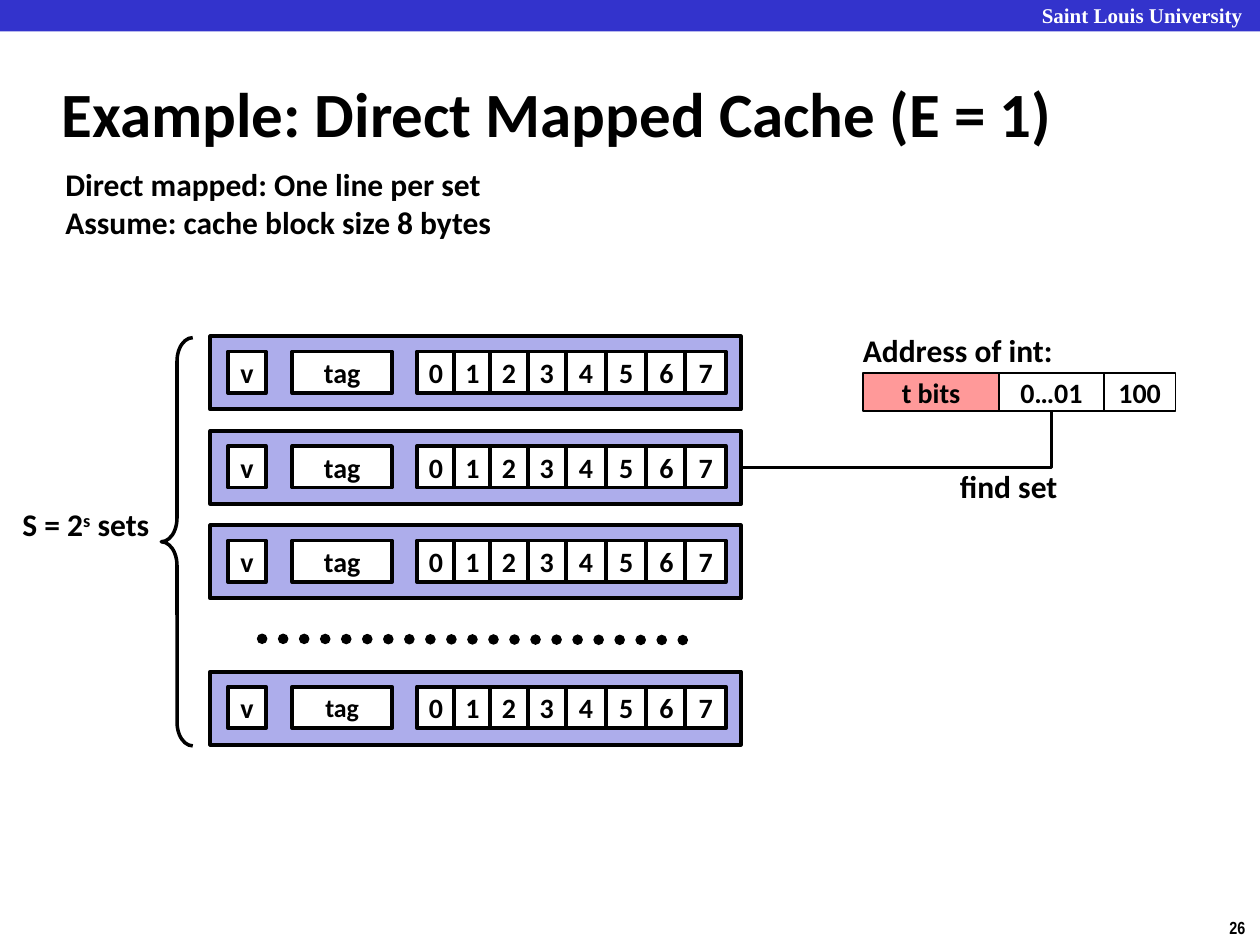
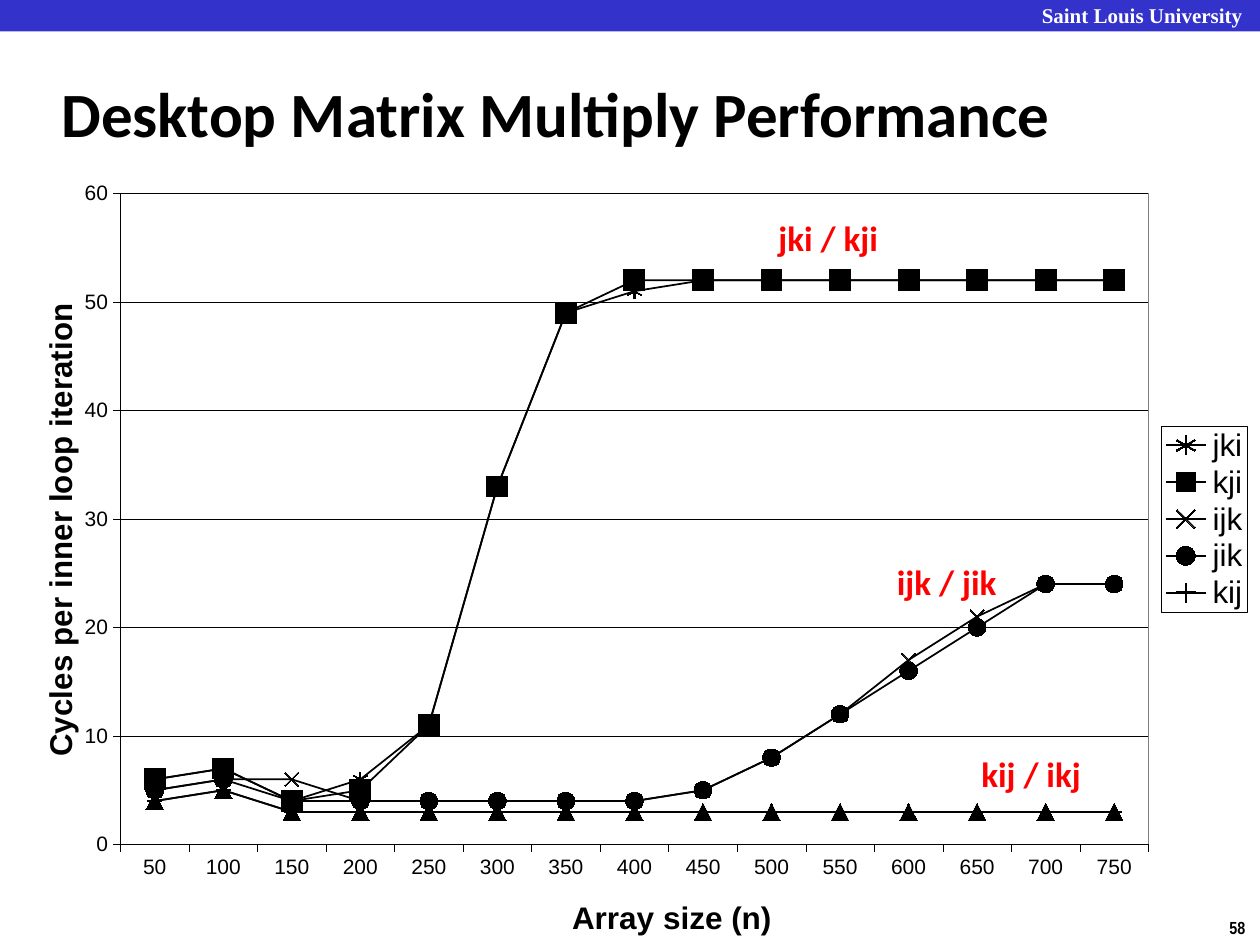
from dataclasses import dataclass

from lxml import etree
from pptx import Presentation
from pptx.chart.data import CategoryChartData
from pptx.dml.color import RGBColor
from pptx.enum.chart import XL_CHART_TYPE, XL_LEGEND_POSITION, XL_MARKER_STYLE, XL_TICK_MARK
from pptx.enum.dml import MSO_LINE
from pptx.enum.shapes import MSO_CONNECTOR, MSO_SHAPE
from pptx.enum.text import MSO_ANCHOR, PP_ALIGN
from pptx.oxml import parse_xml
from pptx.oxml.ns import nsdecls, qn
from pptx.util import Inches, Pt

BLACK = RGBColor(0, 0, 0)
WHITE = RGBColor(255, 255, 255)
RED = RGBColor(255, 0, 0)
BAND_BLUE = RGBColor(0x33, 0x33, 0xCC)
SET_LILAC = RGBColor(0xAD, 0xAD, 0xEB)
TAG_PINK = RGBColor(0xFF, 0x99, 0x99)

RECTANGLE = MSO_SHAPE.RECTANGLE
CENTER = PP_ALIGN.CENTER
MIDDLE = MSO_ANCHOR.MIDDLE
BOTTOM_SIDE, RIGHT_SIDE = 2, 3
SQUARE, CIRCLE, TRIANGLE = XL_MARKER_STYLE.SQUARE, XL_MARKER_STYLE.CIRCLE, XL_MARKER_STYLE.TRIANGLE
STAR, CROSS, PLUS = XL_MARKER_STYLE.STAR, XL_MARKER_STYLE.X, XL_MARKER_STYLE.PLUS


@dataclass
class Label:
    left: float
    top: float
    width: float
    height: float
    text: str
    size: float = 18
    color: RGBColor = BLACK
    font: str = "Calibri"
    wrap: bool = False
    anchor: MSO_ANCHOR = MSO_ANCHOR.TOP


@dataclass
class Cell:
    left: float
    top: float
    width: float
    height: float
    text: str = ""
    fill: RGBColor = WHITE
    line: float = 2.25
    size: float = 16


@dataclass
class LoopOrder:
    name: str
    marker: XL_MARKER_STYLE
    marker_size: int
    cycles: tuple


# Cache sets: tops of the rows and the byte cells inside each row
SET_TOPS = (2.67, 3.42, 4.17, 5.33)
BYTE_LEFTS = (3.31, 3.6, 3.89, 4.19, 4.49, 4.81, 5.13, 5.44)

ADDRESS_CELLS = [
    Cell(6.85, 2.96, 1.08, 0.3, "t bits", TAG_PINK, 1),
    Cell(7.93, 2.96, 0.83, 0.3, "0…01", WHITE, 1),
    Cell(8.76, 2.96, 0.57, 0.3, "100", WHITE, 1),
]
CACHE_LABELS = [
    Label(0.42, 1.26, 3.61, 0.71, "Direct mapped: One line per set\nAssume: cache block size 8 bytes"),
    Label(6.75, 2.58, 1.72, 0.4, "Address of int:"),
    Label(7.52, 3.66, 0.98, 0.4, "find set"),
]

ARRAY_SIZES = [str(size) for size in range(50, 751, 50)]
LOOP_ORDERS = [
    LoopOrder("jki", STAR, 8, (6, 7, 4, 6, 11, 33, 49, 51) + (52,) * 7),
    LoopOrder("kji", SQUARE, 12, (6, 7, 4, 5, 11, 33, 49) + (52,) * 8),
    LoopOrder("ijk", CROSS, 8, (5, 6, 6, 4, 4, 4, 4, 4, 5, 8, 12, 17, 21, 24, 24)),
    LoopOrder("jik", CIRCLE, 10, (5, 6, 4, 4, 4, 4, 4, 4, 5, 8, 12, 16, 20, 24, 24)),
    LoopOrder("kij", PLUS, 8, (4, 5) + (3,) * 13),
    LoopOrder("ikj", TRIANGLE, 10, (4, 5) + (3,) * 13),
]
CURVE_LABELS = [
    Label(6.08, 1.67, 1.01, 0.44, "jki / kji", 20, RED),
    Label(7.02, 4.4, 1, 0.44, "ijk / jik", 20, RED),
    Label(7.69, 5.92, 1, 0.44, "kij / ikj", 20, RED),
]


def set_font(font, size: float, name: str, color: RGBColor = BLACK, bold: bool = True) -> None:
    font.size, font.name, font.bold = Pt(size), name, bold
    font.color.rgb = color


def set_line(line, width: float) -> None:
    line.color.rgb = BLACK
    line.width = Pt(width)


def add_label(page, label: Label):
    box = page.shapes.add_textbox(
        Inches(label.left), Inches(label.top), Inches(label.width), Inches(label.height))
    frame = box.text_frame
    frame.word_wrap = label.wrap
    frame.vertical_anchor = label.anchor
    frame.text = label.text
    for para in frame.paragraphs:
        set_font(para.font, label.size, label.font, label.color)
    return box


def add_cell(page, cell: Cell):
    box = page.shapes.add_shape(
        RECTANGLE, Inches(cell.left), Inches(cell.top), Inches(cell.width), Inches(cell.height))
    box.shadow.inherit = False
    box.fill.solid()
    box.fill.fore_color.rgb = cell.fill
    set_line(box.line, cell.line)
    if cell.text:
        frame = box.text_frame
        frame.word_wrap = False
        frame.vertical_anchor = MIDDLE
        frame.text = cell.text
        para = frame.paragraphs[0]
        para.alignment = CENTER
        set_font(para.font, cell.size, "Calibri")
    return box


def add_line(page, kind, start: tuple, end: tuple, width: float):
    connector = page.shapes.add_connector(
        kind, Inches(start[0]), Inches(start[1]), Inches(end[0]), Inches(end[1]))
    set_line(connector.line, width)
    etree.SubElement(connector._element.spPr, qn("a:effectLst"))
    return connector


def add_page(deck, title: str, number: int):
    """Add a page with the band, the title and the page number."""
    page = deck.slides.add_slide(deck.slide_layouts[6])
    band = add_cell(page, Cell(0, 0, 10, 0.25, fill=BAND_BLUE))
    band.line.fill.background()
    add_label(page, Label(8.17, -0.03, 1.9, 0.3, "Saint Louis University", 12, WHITE,
                          "Times New Roman", True))
    add_label(page, Label(9.66, 7.23, 0.34, 0.27, str(number), 10, font="Arial Narrow"))
    add_label(page, Label(0.39, 0.48, 8.3, 0.83, title, 36, wrap=True, anchor=MIDDLE))
    return page


def add_cache_set(page, top: float, tag_size: float):
    cache_set = add_cell(page, Cell(1.67, top, 4.21, 0.58, fill=SET_LILAC))
    inner = top + 0.12
    add_cell(page, Cell(1.81, inner, 0.3, 0.33, "v"))
    add_cell(page, Cell(2.32, inner, 0.79, 0.33, "tag", size=tag_size))
    for index, left in enumerate(BYTE_LEFTS):
        add_cell(page, Cell(left, inner, 0.3 if index < 4 else 0.32, 0.33, str(index)))
    return cache_set


def add_cache_page(deck) -> None:
    page = add_page(deck, "Example: Direct Mapped Cache (E = 1)", 26)
    for label in CACHE_LABELS:
        add_label(page, label)

    # Number of sets, with its brace
    brace = page.shapes.add_shape(
        MSO_SHAPE.LEFT_BRACE, Inches(1.28), Inches(2.68), Inches(0.25), Inches(3.24))
    brace.adjustments[0] = 0.75
    brace.shadow.inherit = False
    brace.fill.background()
    set_line(brace.line, 2)
    sets_label = add_label(page, Label(0.08, 3.96, 1.23, 0.4, "S = 2"))
    para = sets_label.text_frame.paragraphs[0]
    exponent = para.add_run()
    exponent.text = "s"
    exponent.font._element.set("baseline", "30000")
    para.add_run().text = " sets"

    # Sets, and dots for those left out
    sets = [add_cache_set(page, top, 14.8 if top == SET_TOPS[-1] else 16) for top in SET_TOPS]
    dots = add_line(page, MSO_CONNECTOR.STRAIGHT, (2.08, 5.07), (5.5, 5.08), 6)
    dots.line.dash_style = MSO_LINE.ROUND_DOT
    dots.line._ln.set("cap", "rnd")

    # Address whose set index selects the second set
    address = [add_cell(page, cell) for cell in ADDRESS_CELLS]
    finder = add_line(page, MSO_CONNECTOR.ELBOW, (5.88, 3.71), (8.35, 3.26), 2)
    finder.begin_connect(sets[1], RIGHT_SIDE)
    finder.end_connect(address[1], BOTTOM_SIDE)
    finder._element.spPr.find(qn("a:prstGeom")).set("prst", "bentConnector2")


def set_layout(parent, index: int, inner: bool = False, **fractions: float) -> None:
    """Place a chart part by fractions of the chart's size."""
    for old in parent.findall(qn("c:layout")):
        parent.remove(old)
    layout = etree.Element(qn("c:layout"))
    manual = etree.SubElement(layout, qn("c:manualLayout"))
    settings = {"layoutTarget": "inner"} if inner else {}
    settings.update(xMode="edge", yMode="edge", **fractions)
    for name, value in settings.items():
        etree.SubElement(manual, qn(f"c:{name}")).set("val", str(value))
    parent.insert(index, layout)


def outline(color: str, width: float):
    return parse_xml(
        f'<c:spPr {nsdecls("c", "a")}><a:solidFill><a:srgbClr val="FFFFFF"/></a:solidFill>'
        f'<a:ln w="{Pt(width)}"><a:solidFill><a:srgbClr val="{color}"/></a:solidFill></a:ln></c:spPr>')


def style_axis(axis, title: str, x: float, y: float) -> None:
    axis.major_tick_mark = XL_TICK_MARK.OUTSIDE
    axis.minor_tick_mark = XL_TICK_MARK.NONE
    set_font(axis.tick_labels.font, 12, "Arial", bold=False)
    set_line(axis.format.line, 0.25)
    frame = axis.axis_title.text_frame
    frame.text = title
    set_font(frame.paragraphs[0].font, 18, "Arial")
    set_layout(axis.axis_title._element, 1, x=x, y=y)


def add_performance_page(deck) -> None:
    page = add_page(deck, "Desktop Matrix Multiply Performance", 58)
    data = CategoryChartData()
    data.categories = ARRAY_SIZES
    for order in LOOP_ORDERS:
        data.add_series(order.name, order.cycles)
    chart = page.shapes.add_chart(
        XL_CHART_TYPE.LINE_MARKERS, Inches(0.17), Inches(1.29), Inches(9.83), Inches(6.21),
        data).chart
    chart.has_title = False
    set_font(chart.font, 10, "Arial", bold=False)

    # Axes and plot area
    style_axis(chart.category_axis, "Array size (n)", 0.44, 0.94)
    cycles_axis = chart.value_axis
    style_axis(cycles_axis, "Cycles per inner loop iteration", 0.01, 0.18)
    cycles_axis.minimum_scale, cycles_axis.maximum_scale = 0, 60
    cycles_axis.major_unit = 10
    cycles_axis.has_major_gridlines = True
    set_line(cycles_axis.major_gridlines.format.line, 0.25)
    plot_area = chart._chartSpace.chart.plotArea
    set_layout(plot_area, 0, inner=True, x=0.08, y=0.04, w=0.83, h=0.84)
    plot_area.append(outline("808080", 1))

    # Curves
    chart.plots[0].vary_by_categories = False
    for series, order in zip(chart.plots[0].series, LOOP_ORDERS):
        series.smooth = False
        set_line(series.format.line, 1)
        marker = series.marker
        marker.style, marker.size = order.marker, order.marker_size
        marker.format.fill.solid()
        marker.format.fill.fore_color.rgb = BLACK
        set_line(marker.format.line, 0.75)

    # Legend, without the last loop order
    chart.has_legend = True
    legend = chart.legend
    legend.position = XL_LEGEND_POSITION.RIGHT
    legend.include_in_layout = False
    set_font(legend.font, 18, "Arial", bold=False)
    element = legend._element
    entry = etree.Element(qn("c:legendEntry"))
    etree.SubElement(entry, qn("c:idx")).set("val", str(len(LOOP_ORDERS) - 1))
    etree.SubElement(entry, qn("c:delete")).set("val", "1")
    element.insert(1, entry)
    set_layout(element, 2, x=0.92, y=0.34, w=0.07, h=0.24)
    element.find(qn("c:overlay")).addnext(outline("000000", 0.25))

    for label in CURVE_LABELS:
        add_label(page, label)


def main() -> None:
    deck = Presentation()
    deck.slide_width, deck.slide_height = Inches(10), Inches(7.5)
    add_cache_page(deck)
    add_performance_page(deck)
    deck.save("out.pptx")


if __name__ == "__main__":
    main()
